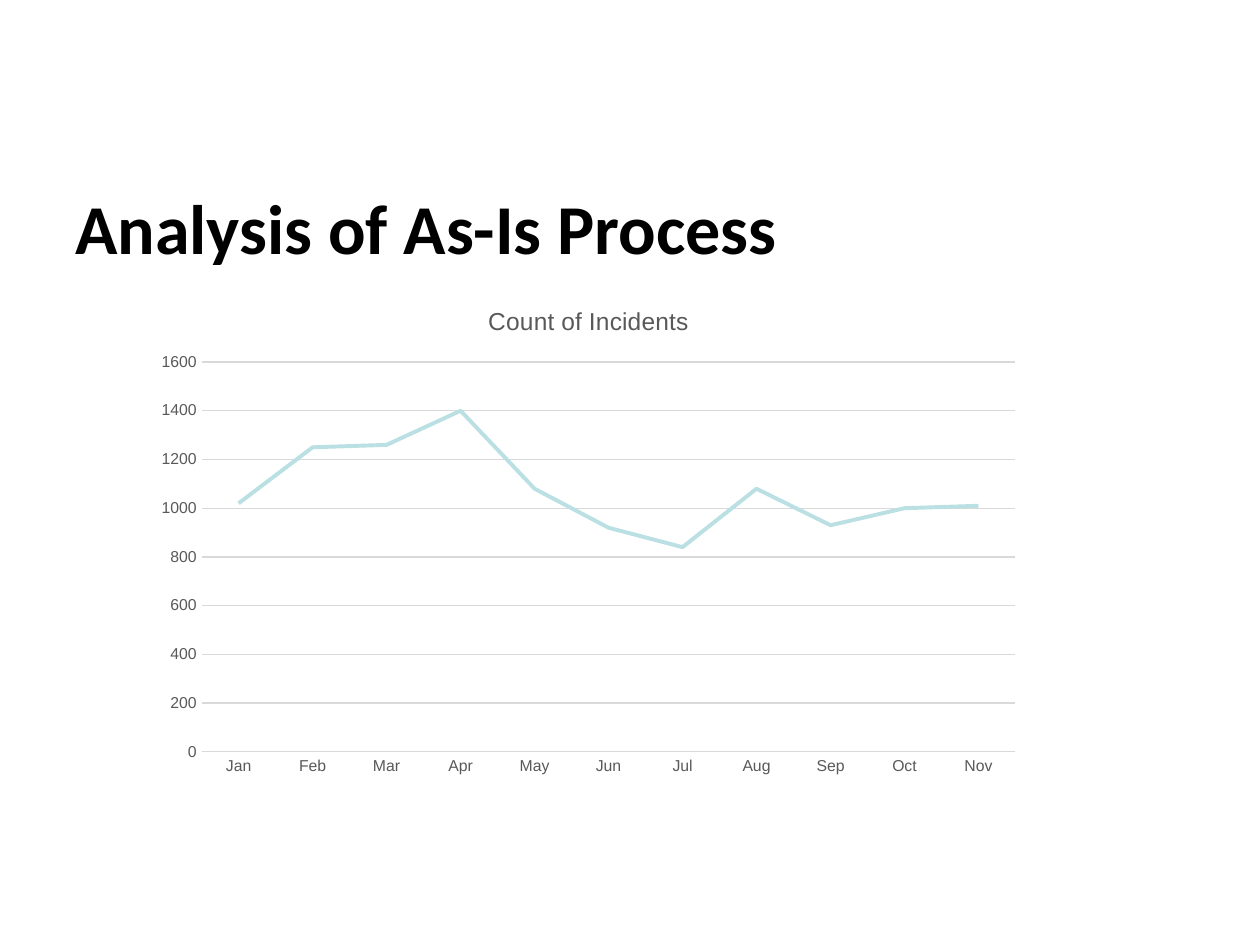
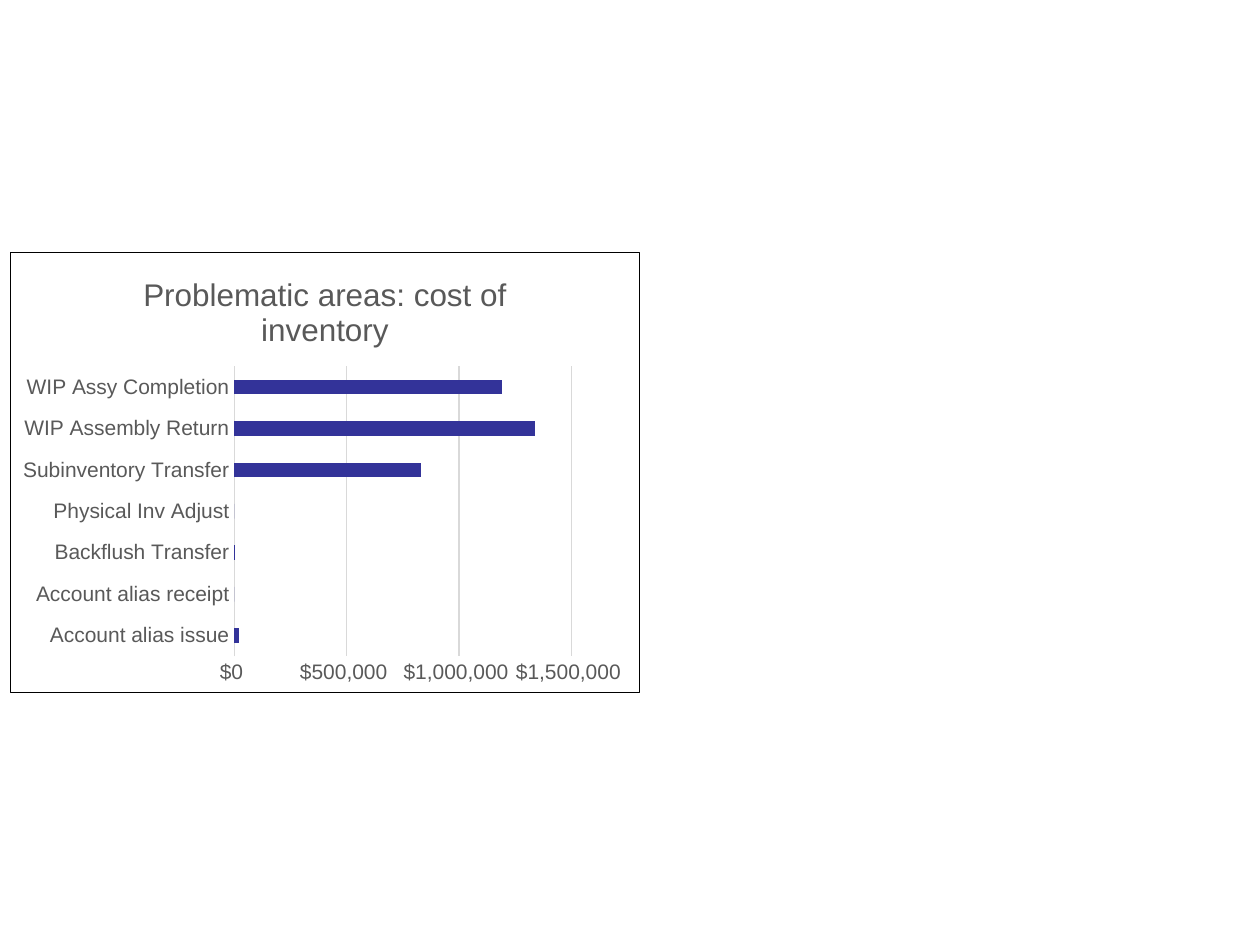
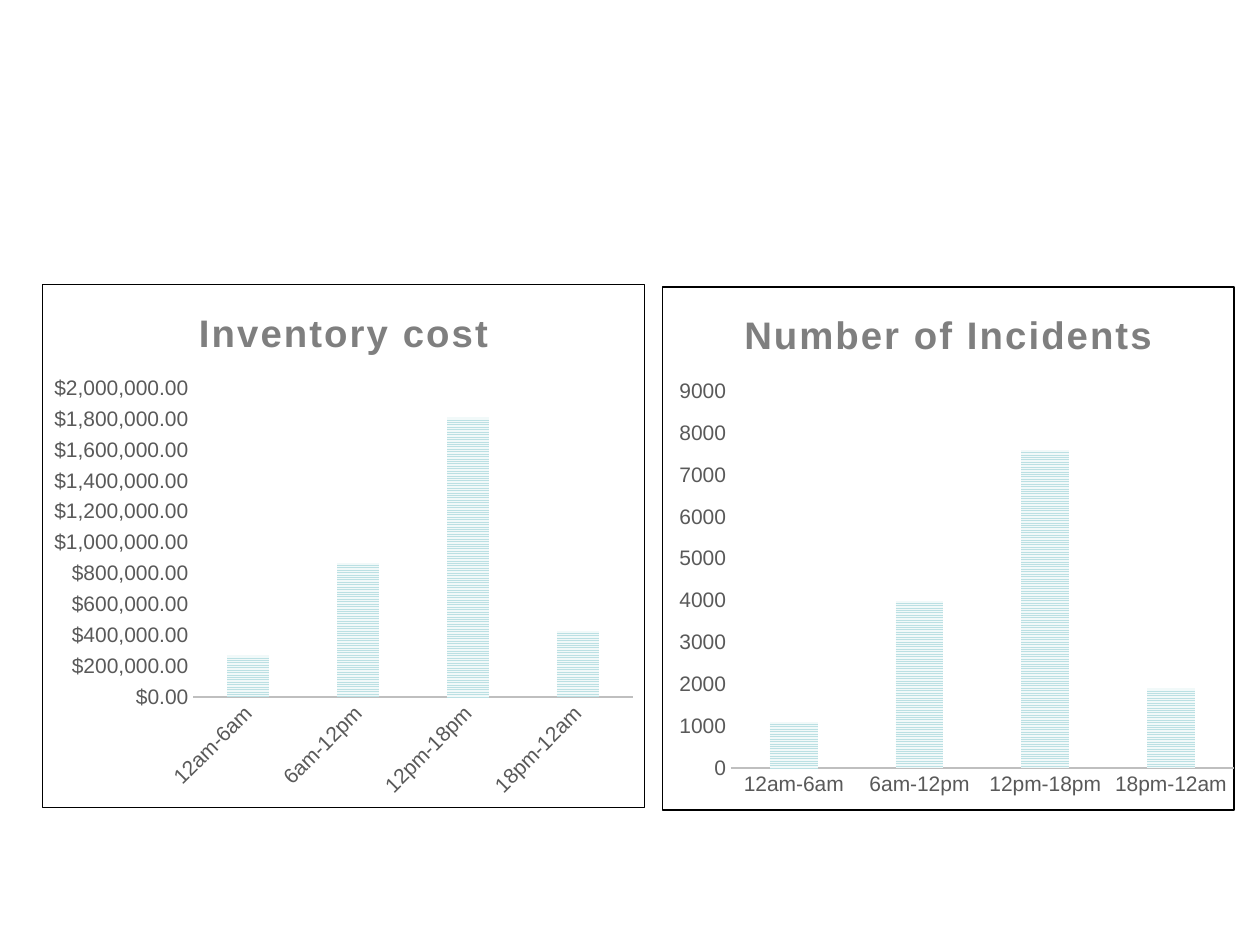
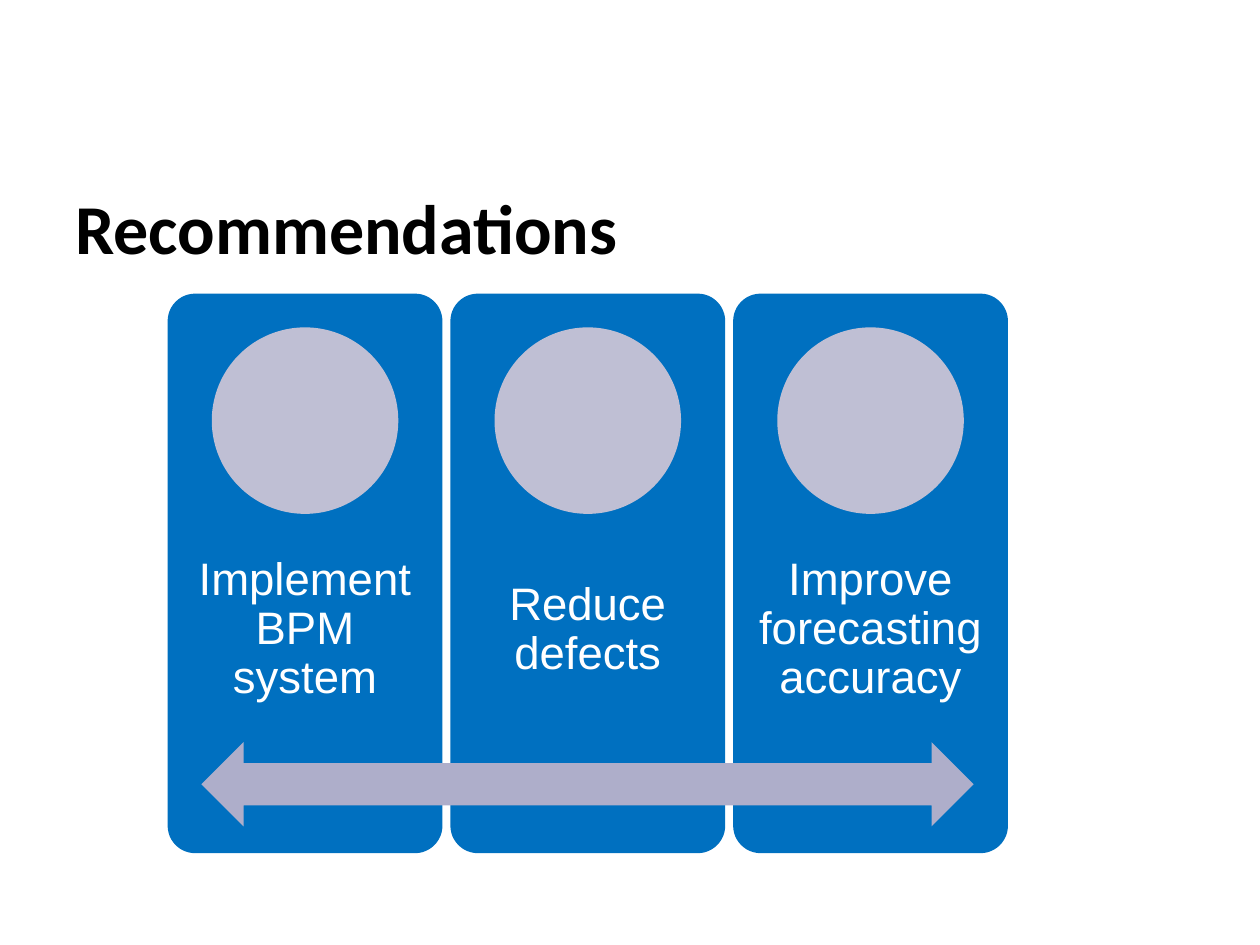
from dataclasses import dataclass

from lxml.etree import SubElement
from pptx import Presentation
from pptx.chart.data import CategoryChartData
from pptx.dml.color import RGBColor
from pptx.enum.chart import XL_CHART_TYPE as ChartType, XL_TICK_MARK as TickMark
from pptx.enum.dml import MSO_PATTERN as Pattern
from pptx.enum.shapes import MSO_SHAPE as Shape
from pptx.enum.text import MSO_ANCHOR as Anchor, PP_ALIGN as Align
from pptx.oxml import parse_xml
from pptx.oxml.ns import nsdecls, qn
from pptx.util import Cm, Pt


@dataclass(frozen=True)
class Theme:
    heading_font: str = "Calibri"
    body_font: str = "Arial"
    background: str = "FFFFFF"
    ink: str = "000000"
    chart_text: str = "595959"
    spaced_title: str = "7F7F7F"
    grid: str = "D9D9D9"
    baseline: str = "BFBFBF"
    aqua: str = "BBE0E3"
    pale_aqua: str = "F1F9F9"
    navy: str = "333399"
    card: str = "0070C0"
    circle: str = "BFBFD4"
    arrow: str = "AEAECA"
    card_text: str = "FFFFFF"
    heading_size: int = 40
    card_size: int = 26
    chart_size: int = 10
    small_axis_size: int = 9
    axis_size: int = 12
    line_title_size: int = 14
    bar_title_size: int = 18
    spaced_title_size: int = 22


def rgb(color):
    return RGBColor.from_string(color)


class SlideBuilder:
    def __init__(self, deck, theme):
        self.deck = deck
        self.theme = theme
        self.page = None

    def new_page(self):
        self.page = self.deck.slides.add_slide(self.deck.slide_layouts[6])
        fill = self.page.background.fill
        fill.solid()
        fill.fore_color.rgb = rgb(self.theme.background)

    def style_font(self, font, size, color, name=None, bold=False):
        font.name = name or self.theme.body_font
        font.size = Pt(size)
        font.bold = bold
        font.color.rgb = rgb(color)

    def text(self, words, place, size, color, name=None, bold=False,
             align=Align.LEFT, inset=None, spacing=None):
        box = self.page.shapes.add_textbox(*map(Cm, place))
        frame = box.text_frame
        frame.word_wrap = True
        frame.vertical_anchor = Anchor.MIDDLE
        if inset is not None:
            frame.margin_left = frame.margin_right = Cm(inset)
            frame.margin_top = frame.margin_bottom = Cm(inset)
        para = frame.paragraphs[0]
        para.text = words
        para.alignment = align
        para.line_spacing = spacing
        self.style_font(para.font, size, color, name, bold)

    def heading(self, words):
        theme = self.theme
        self.text(words, (1.27, 2.97, 22.86, 3.18), theme.heading_size,
                  theme.ink, theme.heading_font, bold=True)

    def shape(self, kind, place, color):
        shape = self.page.shapes.add_shape(kind, *map(Cm, place))
        shape.shadow.inherit = False
        shape.fill.solid()
        shape.fill.fore_color.rgb = rgb(color)
        shape.line.fill.background()
        return shape

    def chart(self, kind, place, title, series_name, values, top_value, step,
              title_size, axis_size, title_color=None, title_bold=False,
              base_color=None, base_width=0.75, grid=True,
              number_format="General", label_angle=0):
        theme = self.theme
        data = CategoryChartData()
        data.categories = list(values)
        data.add_series(series_name, list(values.values()))
        chart = self.page.shapes.add_chart(kind, *map(Cm, place), data).chart
        self.style_font(chart.font, theme.chart_size, theme.ink)
        chart.has_legend = False
        chart.has_title = True
        para = chart.chart_title.text_frame.paragraphs[0]
        para.text = title
        self.style_font(para.font, title_size, title_color or theme.chart_text,
                        bold=title_bold)
        for axis in (chart.category_axis, chart.value_axis):
            axis.major_tick_mark = axis.minor_tick_mark = TickMark.NONE
            self.style_font(axis.tick_labels.font, axis_size, theme.chart_text)
        base = chart.category_axis.format.line
        base.color.rgb = rgb(base_color or theme.grid)
        base.width = Pt(base_width)
        category_axis = next(chart.element.iter(qn("c:catAx")))
        body = category_axis.find(qn("c:txPr")).find(qn("a:bodyPr"))
        body.set("rot", str(label_angle * 60000))
        value_axis = chart.value_axis
        value_axis.minimum_scale = 0
        value_axis.maximum_scale = top_value
        value_axis.major_unit = step
        value_axis.format.line.fill.background()
        value_axis.tick_labels.number_format = number_format
        value_axis.tick_labels.number_format_is_linked = False
        value_axis.has_major_gridlines = grid
        if grid:
            line = value_axis.major_gridlines.format.line
            line.color.rgb = rgb(theme.grid)
            line.width = Pt(0.75)
        chart.plots[0].vary_by_categories = False
        return chart

    def border(self, chart):
        chart.element.find(qn("c:chart")).addnext(parse_xml(
            f'<c:spPr {nsdecls("c", "a")}><a:noFill/><a:ln w="{Pt(0.75)}">'
            f'<a:solidFill><a:srgbClr val="{self.theme.ink}"/></a:solidFill>'
            '</a:ln></c:spPr>'))

    def fix_plot(self, chart, x, y, w, h):
        area = next(chart.element.iter(qn("c:plotArea")))
        layout = area.find(qn("c:layout"))
        if layout is not None:
            area.remove(layout)
        layout = parse_xml(f'<c:layout {nsdecls("c")}/>')
        area.insert(0, layout)
        manual = SubElement(layout, qn("c:manualLayout"))
        settings = dict(layoutTarget="inner", xMode="edge", yMode="edge",
                        x=x, y=y, w=w, h=h)
        for tag, value in settings.items():
            SubElement(manual, qn(f"c:{tag}")).set("val", str(value))

    def line_chart(self, place, title, values, top_value, step):
        theme = self.theme
        chart = self.chart(ChartType.LINE, place, title, title, values,
                           top_value, step, theme.line_title_size,
                           theme.small_axis_size)
        series = chart.plots[0].series[0]
        series.smooth = False
        series.format.line.color.rgb = rgb(theme.aqua)
        series.format.line.width = Pt(2.25)

    def bar_chart(self, place, title, values, top_value, step, number_format):
        theme = self.theme
        chart = self.chart(ChartType.BAR_CLUSTERED, place, title, "Series 1",
                           values, top_value, step, theme.bar_title_size,
                           theme.axis_size, number_format=number_format)
        chart.plots[0].gap_width = 182
        fill = chart.plots[0].series[0].format.fill
        fill.solid()
        fill.fore_color.rgb = rgb(theme.navy)
        self.border(chart)

    def column_chart(self, place, title, values, top_value, step, **options):
        theme = self.theme
        chart = self.chart(ChartType.COLUMN_CLUSTERED, place, title, "Series 1",
                           values, top_value, step, theme.spaced_title_size,
                           theme.axis_size, theme.spaced_title, True,
                           theme.baseline, 1.5, grid=False, **options)
        span = chart.chart_title.text_frame.paragraphs[0].runs[0]
        span.font.bold = True
        title_element = next(chart.element.iter(qn("c:title")))
        next(title_element.iter(qn("a:rPr"))).set("spc", "130")
        plot = chart.plots[0]
        plot.gap_width = 164
        plot.overlap = -22
        fill = plot.series[0].format.fill
        fill.patterned()
        fill.pattern = Pattern.NARROW_HORIZONTAL
        fill.fore_color.rgb = rgb(theme.aqua)
        fill.back_color.rgb = rgb(theme.pale_aqua)
        self.border(chart)
        return chart

    def card(self, words, left):
        theme = self.theme
        top, width = 5.92, 5.54
        diameter = 3.76
        panel = self.shape(Shape.ROUNDED_RECTANGLE, (left, top, width, 11.28),
                           theme.card)
        panel.adjustments[0] = 0.1
        self.text(words, (left, 10.44, width, 4.52), theme.card_size,
                  theme.card_text, align=Align.CENTER, inset=0.51, spacing=0.9)
        self.shape(Shape.OVAL, (left + (width - diameter) / 2, 6.6,
                                diameter, diameter), theme.circle)


def incidents_page(builder):
    builder.new_page()
    builder.heading("Analysis of As-Is Process")
    monthly = {"Jan": 1020, "Feb": 1250, "Mar": 1260, "Apr": 1400, "May": 1080,
               "Jun": 920, "Jul": 840, "Aug": 1080, "Sep": 930, "Oct": 1000,
               "Nov": 1010}
    builder.line_chart((2.9, 5.72, 17.93, 10.11), "Count of Incidents",
                       monthly, 1600, 200)


def problem_areas_page(builder):
    builder.new_page()
    costs = {"Account alias issue": 20000, "Account alias receipt": 0,
             "Backflush Transfer": 5000, "Physical Inv Adjust": 0,
             "Subinventory Transfer": 830000, "WIP Assembly Return": 1340000,
             "WIP Assy Completion": 1190000}
    builder.bar_chart((0.2, 5.08, 12.7, 8.89),
                      "Problematic areas: cost of inventory", costs,
                      1500000, 500000, '"$"#,##0_);\\("$"#,##0\\)')


def time_of_day_page(builder):
    builder.new_page()
    periods = ("12am-6am", "6am-12pm", "12pm-18pm", "18pm-12am")
    costs = dict(zip(periods, (270000, 870000, 1810000, 430000)))
    incidents = dict(zip(periods, (1100, 4000, 7600, 1900)))
    builder.column_chart((0.84, 5.72, 12.17, 10.57), "Inventory cost", costs,
                         2000000, 200000, number_format='"$"#,##0.00',
                         label_angle=-45)
    chart = builder.column_chart((13.34, 5.77, 11.56, 10.57),
                                 "Number of Incidents", incidents, 9000, 1000)
    builder.fix_plot(chart, 0.12, 0.2, 0.88, 0.72)


def recommendations_page(builder):
    builder.new_page()
    builder.heading("Recommendations")
    actions = ("Implement BPM system", "Reduce defects",
               "Improve forecasting accuracy")
    for index, action in enumerate(actions):
        builder.card(action, 3.38 + index * 5.7)
    builder.shape(Shape.LEFT_RIGHT_ARROW, (4.06, 14.96, 15.57, 1.7),
                  builder.theme.arrow)


def main():
    deck = Presentation()
    deck.slide_width = Cm(25.4)
    deck.slide_height = Cm(19.05)
    builder = SlideBuilder(deck, Theme())
    incidents_page(builder)
    problem_areas_page(builder)
    time_of_day_page(builder)
    recommendations_page(builder)
    deck.save("out.pptx")


if __name__ == "__main__":
    main()
